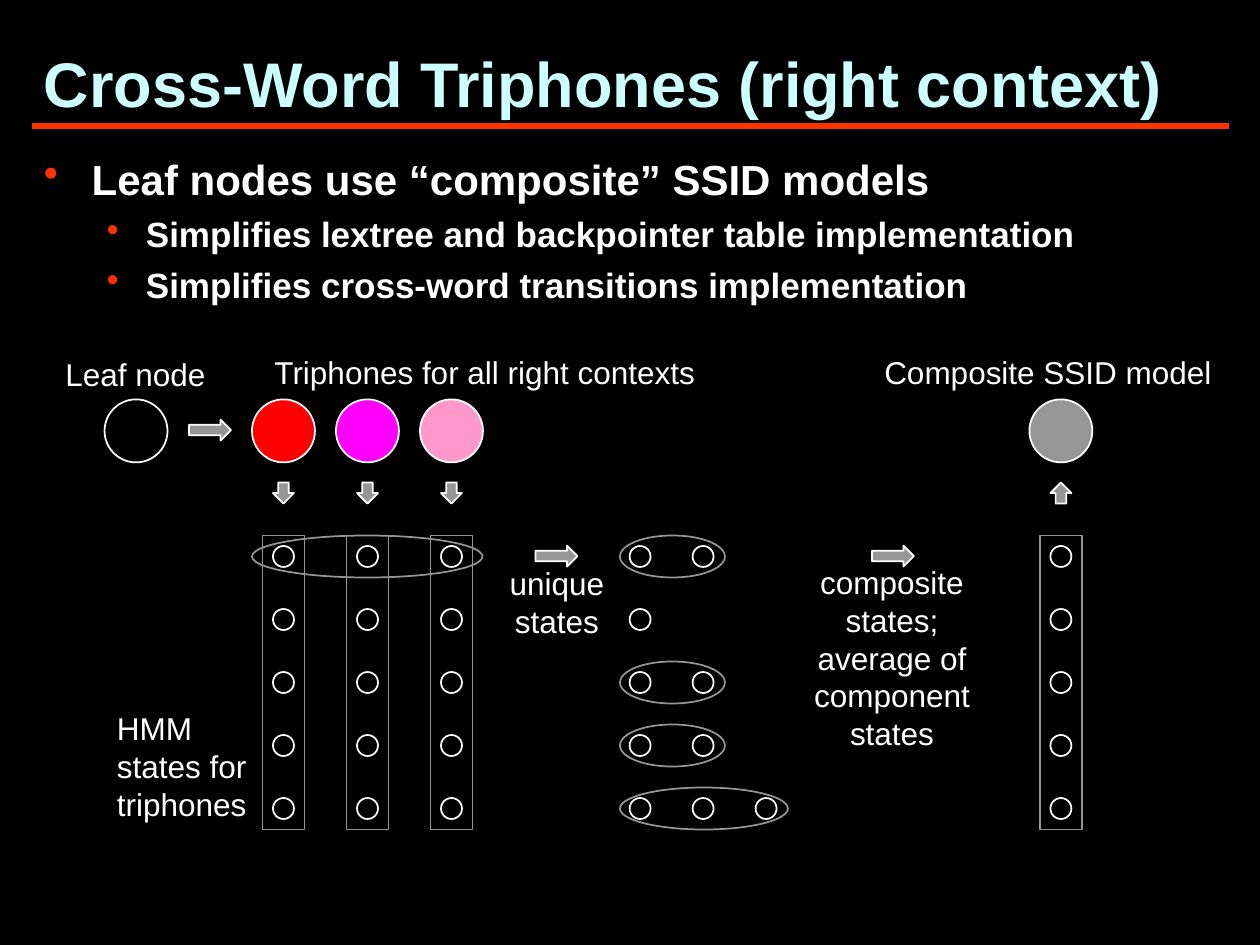
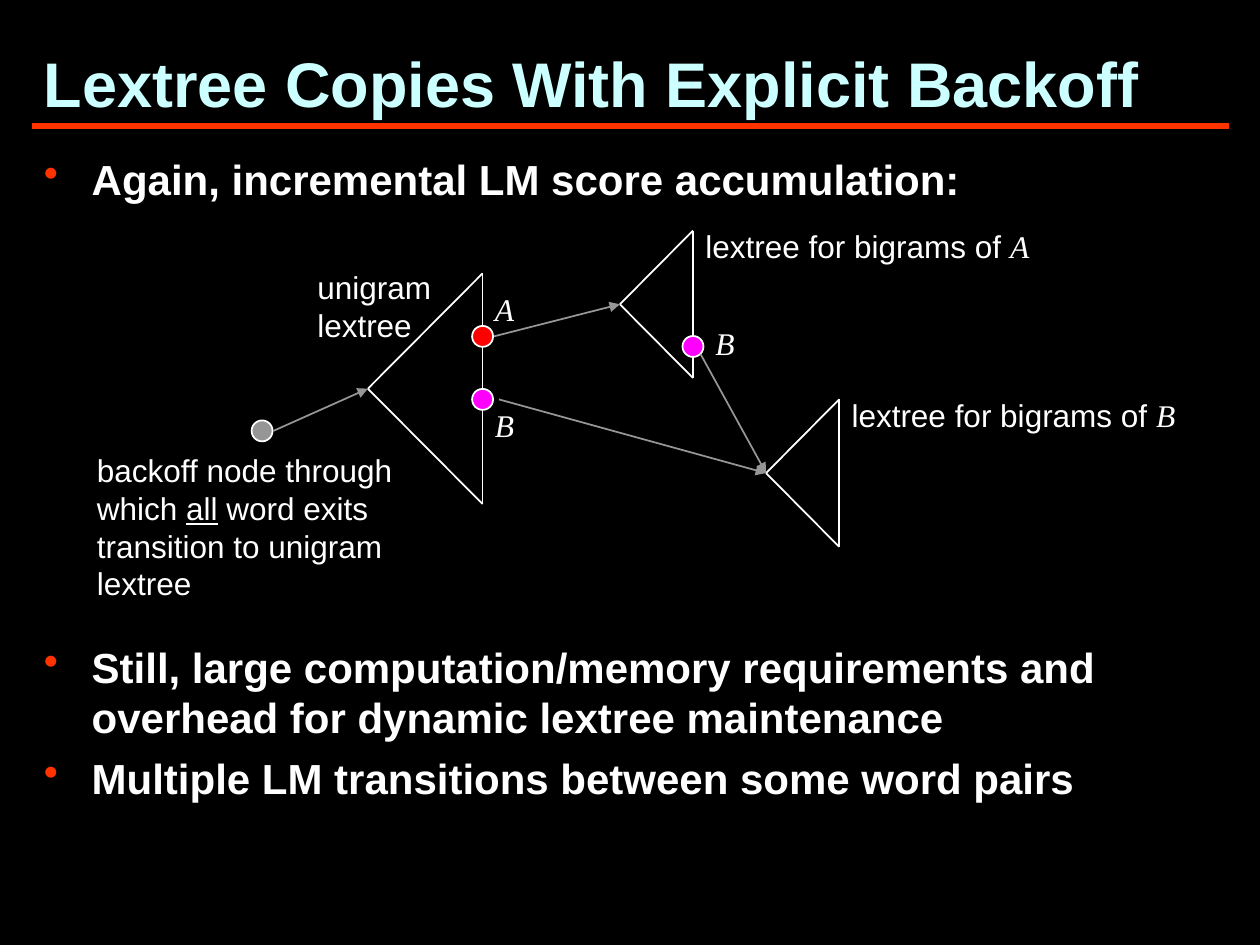
from dataclasses import dataclass
from itertools import combinations

from lxml.etree import SubElement
from pptx import Presentation
from pptx.dml.color import RGBColor
from pptx.enum.shapes import MSO_CONNECTOR as Connector, MSO_SHAPE as Shape
from pptx.enum.text import MSO_ANCHOR as Anchor, PP_ALIGN as Align
from pptx.oxml.ns import qn
from pptx.util import Inches, Pt


@dataclass(frozen=True)
class Theme:
    black: str = "000000"
    white: str = "FFFFFF"
    title: str = "CCFFFF"
    accent: str = "FF3300"
    gray: str = "969696"
    red: str = "FF0000"
    magenta: str = "FF00FF"
    pink: str = "FF99CC"
    sans: str = "Arial"
    serif: str = "Times New Roman"
    title_size: int = 36
    label_size: int = 18
    body_sizes: tuple = (24, 20)
    body_indents: tuple = ((0.38, 0.38), (0.81, 0.31))
    body_gaps: tuple = (6, 5)
    rule_width: int = 4
    line_width: int = 1


@dataclass(frozen=True)
class Box:
    left: float
    top: float
    width: float
    height: float

    def inner(self, left, top, width, height):
        return Box(self.left + left, self.top + top, width, height)

    def point(self, left, top):
        return self.left + left, self.top + top

    def lengths(self):
        return [Inches(v) for v in (self.left, self.top, self.width, self.height)]


THEME = Theme()
DOT = 1 / 6
COLUMN = 1 / 3
NODE = 0.5
ROW_GAP = 0.5
COLUMN_GAP = 2 / 3
ROWS = 5
PLAIN = {"name": THEME.sans, "size": Pt(THEME.label_size)}
WORD = {"name": THEME.serif, "italic": True}
UNDERLINED = {"underline": True}


def color(value):
    return RGBColor.from_string(value)


def write(para, text, formats, ink=THEME.white):
    span = para.add_run()
    span.text = text
    for name, value in formats.items():
        setattr(span.font, name, value)
    span.font.color.rgb = color(ink)


def add_frame(page, box, anchor=Anchor.TOP):
    frame = page.shapes.add_textbox(*box.lengths()).text_frame
    for name, value in {"word_wrap": True, "vertical_anchor": anchor}.items():
        setattr(frame, name, value)
    return frame


def add_label(page, box, *parts, align=Align.LEFT):
    para = add_frame(page, box).paragraphs[0]
    para.alignment = align
    for part in parts:
        text, formats = part if isinstance(part, tuple) else (part, {})
        write(para, text, PLAIN | formats)


def add_figure(page, kind, box, fill=None, line=THEME.white):
    figure = page.shapes.add_shape(kind, *box.lengths())
    figure.shadow.inherit = False
    if fill:
        figure.fill.solid()
        figure.fill.fore_color.rgb = color(fill)
    else:
        figure.fill.background()
    figure.line.color.rgb = color(line)
    figure.line.width = Pt(THEME.line_width)


def add_dot(page, center, size=DOT, fill=None):
    left, top = (value - size / 2 for value in center)
    add_figure(page, Shape.OVAL, Box(left, top, size, size), fill)


def add_line(page, start, end, ink=THEME.white, width=THEME.line_width, arrow=False):
    ends = [Inches(value) for value in (*start, *end)]
    line = page.shapes.add_connector(Connector.STRAIGHT, *ends)
    line.line.color.rgb = color(ink)
    line.line.width = Pt(width)
    if arrow:
        SubElement(line.line._get_or_add_ln(), qn("a:tailEnd"), type="triangle")
    SubElement(line._element.spPr, qn("a:effectLst"))


def add_bullets(page, box, bullets):
    frame = add_frame(page, box)
    for index, (level, text, extra_gap) in enumerate(bullets):
        para = frame.add_paragraph() if index else frame.paragraphs[0]
        para.space_before = Pt(THEME.body_gaps[level] + extra_gap)
        margin, hanging = THEME.body_indents[level]
        props = para._p.get_or_add_pPr()
        for name, value in {"marL": margin, "indent": -hanging}.items():
            props.set(name, str(Inches(value)))
        tint = SubElement(props, qn("a:buClr"))
        SubElement(tint, qn("a:srgbClr"), val=THEME.accent)
        SubElement(props, qn("a:buChar"), char="•")
        size = Pt(THEME.body_sizes[level])
        write(para, text, {"name": THEME.sans, "size": size, "bold": True})


def add_page(deck, title, bullets):
    page = deck.slides.add_slide(deck.slide_layouts[6])
    page.background.fill.solid()
    page.background.fill.fore_color.rgb = color(THEME.black)
    add_line(page, (0.25, 1), (9.75, 1), THEME.accent, THEME.rule_width)
    para = add_frame(page, Box(0.25, 0.29, 9.5, 0.71), Anchor.BOTTOM).paragraphs[0]
    formats = {"name": THEME.sans, "size": Pt(THEME.title_size), "bold": True}
    write(para, title, formats, THEME.title)
    add_bullets(page, Box(0.25, 1.17, 9.5, 5.83), bullets)
    return page


def add_state_column(page, box):
    add_figure(page, Shape.RECTANGLE, box, line=THEME.gray)
    for row in range(ROWS):
        add_dot(page, box.point(box.width / 2, DOT + row * ROW_GAP))


def add_model(page, box, fill, arrow):
    middle = box.width / 2
    add_dot(page, box.point(middle, NODE / 2), NODE, fill)
    add_figure(page, arrow, box.inner(middle - DOT / 2, 0.66, DOT, DOT), THEME.gray)
    add_state_column(page, box.inner(middle - COLUMN / 2, 1.08, COLUMN, 7 / 3))


def add_right_arrow(page, box):
    add_figure(page, Shape.RIGHT_ARROW, box, THEME.gray)


def draw_leaf_node(page, box):
    add_label(page, box.inner(0, 0.02, 1.33, 0.4), "Leaf node")
    add_dot(page, box.point(0.66, 0.67), NODE)
    add_right_arrow(page, box.inner(1.08, 0.58, COLUMN, DOT))
    add_label(page, box.inner(0.41, 2.83, 1.25, 1), "HMM states for triphones")


def draw_triphones(page, box):
    add_label(page, box.inner(0.08, 0, 3.58, 0.4), "Triphones for all right contexts")
    for index, fill in enumerate((THEME.red, THEME.magenta, THEME.pink)):
        model = box.inner(index * COLUMN_GAP, 0.42, NODE, 3.41)
        add_model(page, model, fill, Shape.DOWN_ARROW)
    add_figure(page, Shape.OVAL, box.inner(0, 1.5, 1.83, COLUMN), line=THEME.gray)


def draw_unique_states(page, box):
    add_right_arrow(page, box.inner(0.33, 0.08, COLUMN, DOT))
    add_label(page, box.inner(0, 0.18, 1, 0.7), "unique states", align=Align.CENTER)
    for row, count in enumerate((2, 1, 2, 2, 3)):
        top = row * ROW_GAP
        for index in range(count):
            add_dot(page, box.point(1.16 + index * ROW_GAP, top + DOT))
        if count > 1:
            width = COLUMN + (count - 1) * ROW_GAP
            group = box.inner(1, top, width, COLUMN)
            add_figure(page, Shape.OVAL, group, line=THEME.gray)


def draw_composite_model(page, box):
    add_label(page, box.inner(0.59, 0, 2.83, 0.4), "Composite SSID model")
    add_right_arrow(page, box.inner(0.59, 1.58, COLUMN, DOT))
    add_label(page, box.inner(0, 1.67, 1.5, 1.6),
              "composite states; average of component states", align=Align.CENTER)
    model = box.inner(1.84, 0.42, NODE, 3.41)
    add_model(page, model, THEME.gray, Shape.UP_ARROW)


def draw_lextree(page, box):
    apex = box.point(0, box.height / 2)
    corners = apex, box.point(box.width, 0), box.point(box.width, box.height)
    for start, end in combinations(corners, 2):
        add_line(page, start, end)
    return apex


def add_word(page, center, fill, word, label):
    add_dot(page, center, fill=fill)
    add_label(page, label, (word, WORD))


def draw_unigram_tree(page, box):
    apex = draw_lextree(page, box)
    add_label(page, box.inner(-0.5, -0.09, 1.17, 0.7), "unigram lextree")
    add_word(page, box.point(box.width, 0.5), THEME.red, "A",
             box.inner(box.width, 0.08, 0.25, 0.4))
    add_word(page, box.point(box.width, 1), THEME.magenta, "B",
             box.inner(box.width, 1, 0.25, 0.4))
    return apex


def draw_bigram_tree(page, box, word):
    add_label(page, box.inner(box.width, -0.08, 2.92, 0.4),
              "lextree for bigrams of ", (word, WORD))
    return draw_lextree(page, box)


def draw_backoff_node(page, box):
    add_dot(page, box.point(1.41, 0), fill=THEME.gray)
    add_label(page, box.inner(0, 0.11, box.width, 1.3), "backoff node through which ",
              ("all", UNDERLINED), " word exits transition to unigram lextree")


def build_triphones_page(deck):
    page = add_page(deck, "Cross-Word Triphones (right context)", (
        (0, "Leaf nodes use “composite” SSID models", 0),
        (1, "Simplifies lextree and backpointer table implementation", 0),
        (1, "Simplifies cross-word transitions implementation", 0),
    ))
    draw_leaf_node(page, Box(0.42, 2.75, 1.66, 3.83))
    draw_triphones(page, Box(2, 2.75, 3.66, 3.83))
    draw_unique_states(page, Box(3.92, 4.25, 2.33, 2.33))
    draw_composite_model(page, Box(6.33, 2.75, 3.42, 3.83))


def build_backoff_page(deck):
    diagram_gap = 244
    page = add_page(deck, "Lextree Copies With Explicit Backoff", (
        (0, "Again, incremental LM score accumulation:", 0),
        (0, "Still, large computation/memory requirements and overhead "
            "for dynamic lextree maintenance", diagram_gap),
        (0, "Multiple LM transitions between some word pairs", 0),
    ))
    unigram = draw_unigram_tree(page, Box(2.92, 2.17, 0.91, 1.83))
    bigram_a = draw_bigram_tree(page, Box(4.92, 1.83, 0.58, 1.17), "A")
    bigram_b = draw_bigram_tree(page, Box(6.08, 3.17, 0.58, 1.17), "B")
    add_word(page, (5.5, 2.75), THEME.magenta, "B", Box(5.58, 2.52, 0.25, 0.4))
    draw_backoff_node(page, Box(0.67, 3.42, 2.58, 1.41))
    for start, end in (((2.17, 3.42), unigram), ((3.92, 2.67), bigram_a),
                       ((5.56, 2.81), bigram_b), ((3.96, 3.17), bigram_b)):
        add_line(page, start, end, THEME.gray, arrow=True)


def main():
    deck = Presentation()
    deck.slide_width, deck.slide_height = Inches(10), Inches(7.5)
    build_triphones_page(deck)
    build_backoff_page(deck)
    deck.save("out.pptx")


if __name__ == "__main__":
    main()
